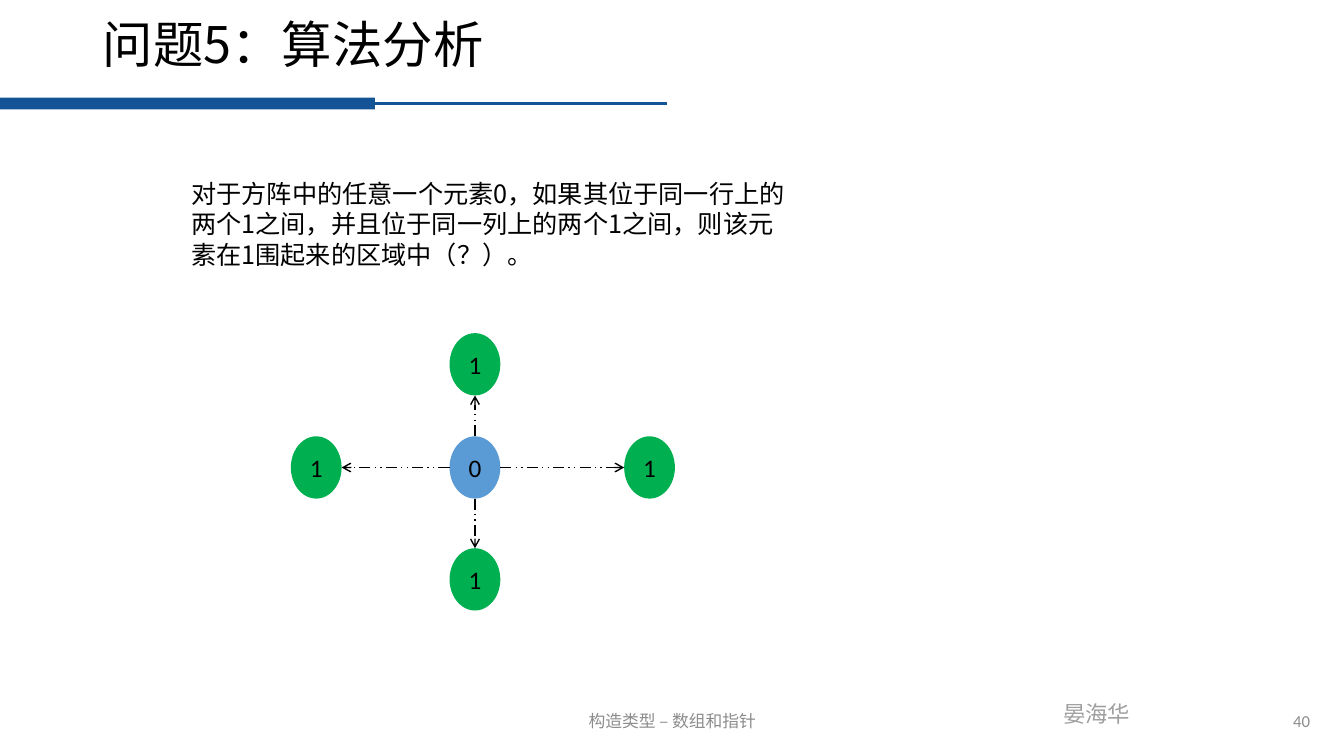
from lxml import etree
from pptx import Presentation
from pptx import util as u
from pptx.dml.color import RGBColor
from pptx.enum import dml, shapes, text
from pptx.oxml.ns import qn

BLUE, GREEN, CENTER_BLUE = "145396", "00B050", "5B9BD5"
BLACK, GREY, LIGHT_GREY = "000000", "8C8C8C", "9F9F9F"
CJK, LATIN = "Noto Sans CJK SC", "Calibri"
NODE_W, NODE_H = 1.28, 1.57
CENTER_X, CENTER_Y = 11.97, 11.78
LEFT, RIGHT, UP, DOWN = (-4, 0), (4.4, 0), (0, -2.6), (0, 2.82)


def color(hex_string):
    return RGBColor.from_string(hex_string)


def write(frame, words, size=18, font=LATIN, ink=BLACK, align=text.PP_ALIGN.LEFT,
          anchor=text.MSO_ANCHOR.TOP, wrap=True, spacing=None):
    frame.word_wrap = wrap
    frame.vertical_anchor = anchor
    paragraph = frame.paragraphs[0]
    paragraph.alignment = align
    if spacing:
        paragraph.line_spacing = spacing
    run = paragraph.add_run()
    run.text = words
    run.font.size = u.Pt(size)
    run.font.name = font
    run.font.color.rgb = color(ink)
    east_asian = etree.Element(qn("a:ea"), typeface=CJK)
    run.font._element.find(qn("a:latin")).addnext(east_asian)


def add_text(slide, left, top, width, height, words, **style):
    box = slide.shapes.add_textbox(u.Cm(left), u.Cm(top), u.Cm(width), u.Cm(height))
    write(box.text_frame, words, **style)


def add_filled(slide, preset, left, top, width, height, fill):
    filled = slide.shapes.add_shape(preset, u.Cm(left), u.Cm(top), u.Cm(width), u.Cm(height))
    filled.shadow.inherit = False
    filled.fill.solid()
    filled.fill.fore_color.rgb = color(fill)
    filled.line.fill.background()
    return filled


def add_line(slide, start, end, ink, width):
    ends = [u.Cm(value) for value in (*start, *end)]
    line = slide.shapes.add_connector(shapes.MSO_CONNECTOR.STRAIGHT, *ends)
    line.line.color.rgb = color(ink)
    line.line.width = u.Pt(width)
    etree.SubElement(line._element.spPr, qn("a:effectLst"))
    return line


def add_node(slide, offset, digit, fill):
    """Draw one matrix element, placed by its offset from the central one."""
    node = add_filled(slide, shapes.MSO_SHAPE.OVAL,
                      CENTER_X + offset[0] - NODE_W / 2,
                      CENTER_Y + offset[1] - NODE_H / 2, NODE_W, NODE_H, fill)
    write(node.text_frame, digit, wrap=False, align=text.PP_ALIGN.CENTER,
          anchor=text.MSO_ANCHOR.MIDDLE)


def add_arrow(slide, offset):
    """Join the rim of the central element to the rim of the one at the offset."""
    dx, dy = offset
    rim_x = NODE_W / 2 * ((dx > 0) - (dx < 0))
    rim_y = NODE_H / 2 * ((dy > 0) - (dy < 0))
    arrow = add_line(slide, (CENTER_X + rim_x, CENTER_Y + rim_y),
                     (CENTER_X + dx - rim_x, CENTER_Y + dy - rim_y), BLACK, 1)
    arrow.line.dash_style = dml.MSO_LINE.DASH_DOT_DOT
    outline = arrow._element.spPr.find(qn("a:ln"))
    etree.SubElement(outline, qn("a:tailEnd"), type="arrow")


def add_neighbour_diagram(slide):
    for offset in (LEFT, DOWN, UP, RIGHT):
        add_node(slide, offset, "1", GREEN)
    add_node(slide, (0, 0), "0", CENTER_BLUE)
    for offset in (UP, RIGHT, LEFT, DOWN):
        add_arrow(slide, offset)


def main():
    deck = Presentation()
    deck.slide_width, deck.slide_height = u.Cm(33.87), u.Cm(19.05)
    slide = deck.slides.add_slide(deck.slide_layouts[6])
    middle = text.MSO_ANCHOR.MIDDLE

    add_text(slide, 26.54, 17.53, 2.24, 0.94, "晏海华", size=16, ink=LIGHT_GREY, wrap=False)
    add_filled(slide, shapes.MSO_SHAPE.RECTANGLE, 0, 2.46, 9.45, 0.3, BLUE)
    add_line(slide, (9.35, 2.6), (16.81, 2.6), BLUE, 2.25)
    add_text(slide, 2.34, 0.43, 29.21, 1.52, "问题5：算法分析", size=36, font=CJK,
             anchor=middle, spacing=0.9)
    add_text(slide, 11.23, 17.65, 11.43, 1.02, "构造类型 – 数组和指针", size=12, ink=GREY,
             align=text.PP_ALIGN.CENTER, anchor=middle)
    add_text(slide, 25.65, 17.65, 7.62, 1.02, "40", size=12, ink=GREY,
             align=text.PP_ALIGN.RIGHT, anchor=middle)
    add_text(slide, 4.57, 4.37, 15.8, 2.82,
             "对于方阵中的任意一个元素0，如果其位于同一行上的两个1之间，"
             "并且位于同一列上的两个1之间，则该元素在1围起来的区域中（？）。", font=CJK)
    add_neighbour_diagram(slide)
    deck.save("out.pptx")


if __name__ == "__main__":
    main()
